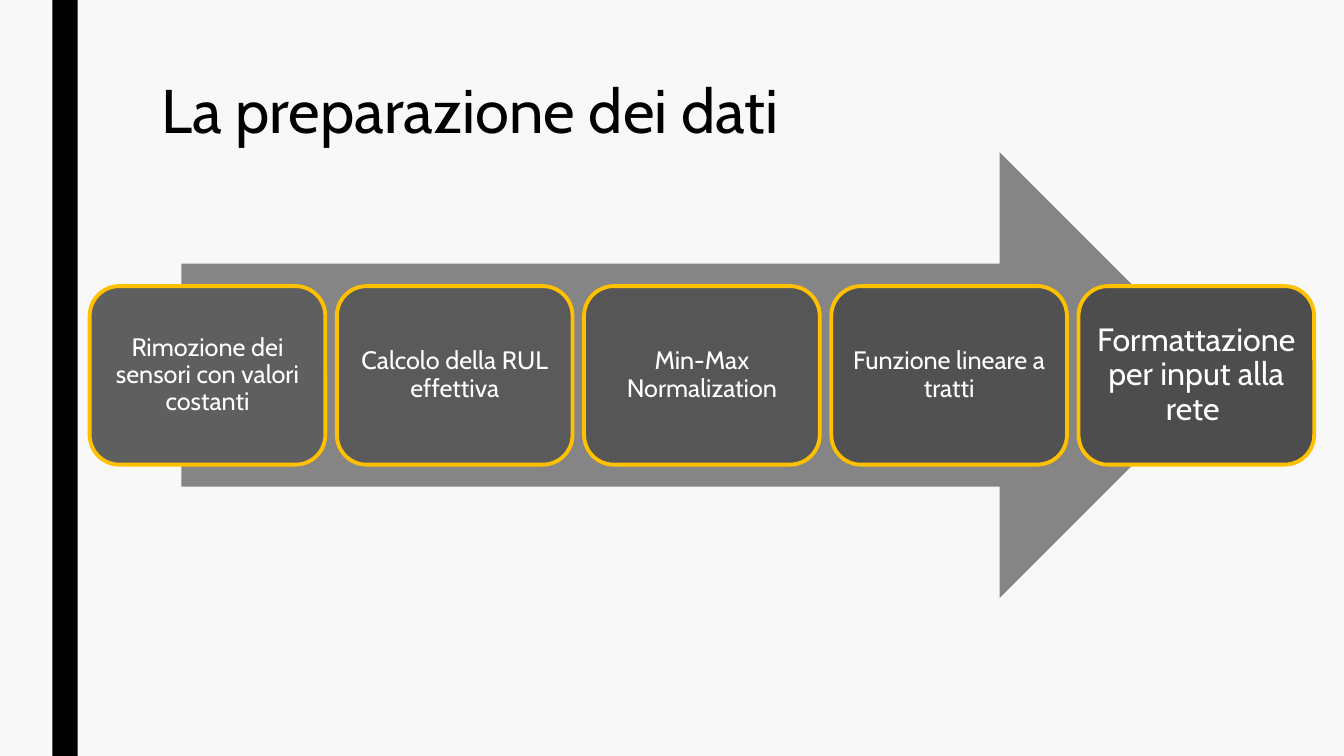
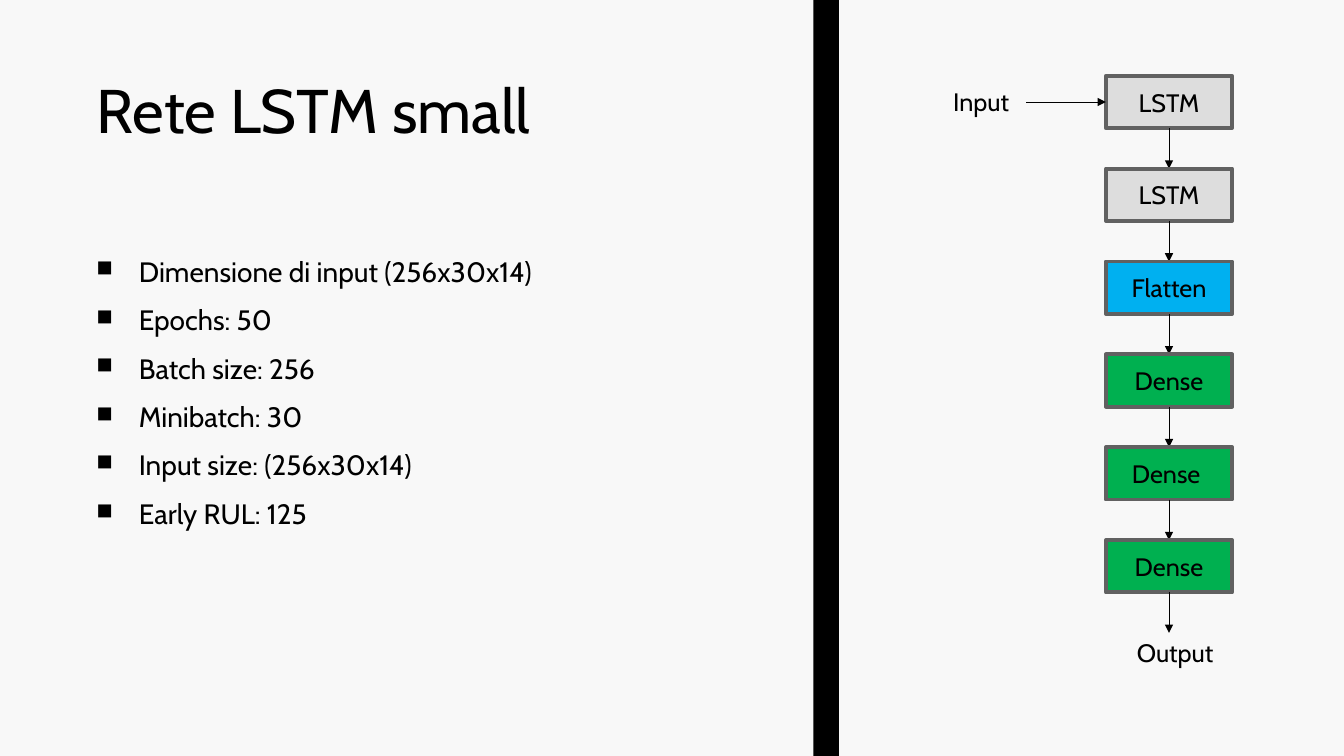
from dataclasses import dataclass

from lxml import etree
from pptx import Presentation
from pptx.dml.color import RGBColor
from pptx.enum.shapes import MSO_CONNECTOR, MSO_SHAPE
from pptx.enum.text import MSO_ANCHOR, MSO_AUTO_SIZE, PP_ALIGN
from pptx.oxml.ns import qn
from pptx.presentation import Presentation as Deck
from pptx.shapes.autoshape import Shape
from pptx.slide import Slide
from pptx.text.text import TextFrame
from pptx.util import Cm, Pt

RECTANGLE = MSO_SHAPE.RECTANGLE
ROUNDED = MSO_SHAPE.ROUNDED_RECTANGLE
RIGHT_ARROW = MSO_SHAPE.RIGHT_ARROW
STRAIGHT = MSO_CONNECTOR.STRAIGHT
LEFT = PP_ALIGN.LEFT
CENTER = PP_ALIGN.CENTER
TOP = MSO_ANCHOR.TOP
MIDDLE = MSO_ANCHOR.MIDDLE
NO_AUTOFIT = MSO_AUTO_SIZE.NONE

BLACK = RGBColor(0x00, 0x00, 0x00)
WHITE = RGBColor(0xFF, 0xFF, 0xFF)
PAPER = RGBColor(0xF8, 0xF8, 0xF8)
ARROW_GRAY = RGBColor(0x85, 0x85, 0x85)
AMBER = RGBColor(0xFF, 0xC0, 0x00)
BORDER_GRAY = RGBColor(0x61, 0x61, 0x61)
LSTM_GRAY = RGBColor(0xDD, 0xDD, 0xDD)
FLATTEN_BLUE = RGBColor(0x00, 0xB0, 0xF0)
DENSE_GREEN = RGBColor(0x00, 0xB0, 0x50)

FONT = "Cabin"
PAGE_WIDTH, PAGE_HEIGHT = 33.87, 19.05
TITLE_ONLY = 5
TITLE_TOP, TITLE_HEIGHT = 1.91, 4.11
BAND_WIDTH = 0.64
BORDER_WIDTH = 2.75


@dataclass(frozen=True)
class Area:
    left: float
    top: float
    width: float
    height: float

    def lengths(self) -> tuple[Cm, Cm, Cm, Cm]:
        return Cm(self.left), Cm(self.top), Cm(self.width), Cm(self.height)


@dataclass(frozen=True)
class Step:
    text: str
    fill: RGBColor
    size: float = 18


@dataclass(frozen=True)
class Layer:
    text: str
    fill: RGBColor


STEPS = (
    Step("Rimozione dei sensori con valori costanti", RGBColor(0x5F, 0x5F, 0x5F)),
    Step("Calcolo della RUL effettiva", RGBColor(0x5A, 0x5A, 0x5A)),
    Step("Min-Max Normalization", RGBColor(0x56, 0x56, 0x56)),
    Step("Funzione lineare a tratti", RGBColor(0x51, 0x51, 0x51)),
    Step("Formattazione per input alla rete ", RGBColor(0x4D, 0x4D, 0x4D), 23),
)
FIRST_STEP = Area(2.26, 7.21, 5.94, 4.5)
STEP_PITCH = 6.23
STEP_INSET = 0.15

LAYERS = (
    Layer("LSTM", LSTM_GRAY),
    Layer("LSTM", LSTM_GRAY),
    Layer("Flatten", FLATTEN_BLUE),
    Layer("Dense", DENSE_GREEN),
    Layer("Dense ", DENSE_GREEN),
    Layer("Dense", DENSE_GREEN),
)
FIRST_LAYER = Area(27.87, 1.91, 3.18, 1.32)
LAYER_PITCH = 2.34

PARAMETERS = (
    "Dimensione di input (256x30x14)",
    "Epochs: 50",
    "Batch size: 256 ",
    "Minibatch: 30 ",
    "Input size: (256x30x14)",
    "Early RUL: 125",
)


def write_text(frame: TextFrame, *lines: str, size: float = 18,
               color: RGBColor = BLACK, align: PP_ALIGN = LEFT,
               anchor: MSO_ANCHOR = TOP, spacing: float = 1.0) -> None:
    frame.word_wrap = True
    frame.auto_size = NO_AUTOFIT
    frame.vertical_anchor = anchor
    for index, line in enumerate(lines):
        para = frame.add_paragraph() if index else frame.paragraphs[0]
        para.alignment = align
        para.line_spacing = spacing
        span = para.add_run()
        span.text = line
        span.font.name = FONT
        span.font.size = Pt(size)
        span.font.color.rgb = color


def add_block(page: Slide, kind: MSO_SHAPE, area: Area, fill: RGBColor,
              border: RGBColor | None = None) -> Shape:
    box = page.shapes.add_shape(kind, *area.lengths())
    box.shadow.inherit = False
    box.fill.solid()
    box.fill.fore_color.rgb = fill
    if border is None:
        box.line.fill.background()
    else:
        box.line.color.rgb = border
        box.line.width = Pt(BORDER_WIDTH)
    return box


def add_text(page: Slide, area: Area, *lines: str, size: float = 18,
             spacing: float = 1.0) -> TextFrame:
    frame = page.shapes.add_textbox(*area.lengths()).text_frame
    write_text(frame, *lines, size=size, spacing=spacing)
    return frame


def add_arrow(page: Slide, start: tuple[float, float], end: tuple[float, float]) -> None:
    arrow = page.shapes.add_connector(
        STRAIGHT, Cm(start[0]), Cm(start[1]), Cm(end[0]), Cm(end[1]))
    arrow.line.color.rgb = BLACK
    arrow.line.width = Pt(0.5)
    properties = arrow.element.spPr
    etree.SubElement(properties.find(qn("a:ln")), qn("a:tailEnd"), type="triangle")
    etree.SubElement(properties, qn("a:effectLst"))


def add_bullets(frame: TextFrame, indent: float) -> None:
    for para in frame.paragraphs:
        para.space_before = Pt(10)
        para.space_after = Pt(2)
        properties = para._p.get_or_add_pPr()
        properties.set("marL", str(Cm(indent)))
        properties.set("indent", str(-Cm(indent)))
        etree.SubElement(properties, qn("a:buSzPct"), val="80000")
        etree.SubElement(properties, qn("a:buChar"), char="■")


def add_page(deck: Deck, title: str, title_left: float, title_width: float,
             band_left: float) -> Slide:
    page = deck.slides.add_slide(deck.slide_layouts[TITLE_ONLY])
    add_block(page, RECTANGLE, Area(band_left, 0, BAND_WIDTH, PAGE_HEIGHT), BLACK)
    box = page.shapes.title
    area = Area(title_left, TITLE_TOP, title_width, TITLE_HEIGHT)
    box.left, box.top, box.width, box.height = area.lengths()
    write_text(box.text_frame, title, size=44, spacing=0.89)
    return page


def add_step(page: Slide, step: Step, area: Area) -> None:
    box = add_block(page, ROUNDED, area, step.fill, AMBER)
    frame = box.text_frame
    frame.margin_left = frame.margin_right = Cm(STEP_INSET)
    frame.margin_top = frame.margin_bottom = Cm(STEP_INSET)
    write_text(frame, step.text, size=step.size, color=WHITE,
               align=CENTER, anchor=MIDDLE, spacing=0.9)


def build_preparation(deck: Deck) -> None:
    page = add_page(deck, "La preparazione dei dati", 3.81, 26.67, 1.32)
    add_block(page, RIGHT_ARROW, Area(4.57, 3.84, 26.24, 11.23), ARROW_GRAY)
    for index, step in enumerate(STEPS):
        left = FIRST_STEP.left + index * STEP_PITCH
        add_step(page, step, Area(left, FIRST_STEP.top, FIRST_STEP.width, FIRST_STEP.height))


def build_network(deck: Deck) -> None:
    page = add_page(deck, "Rete LSTM small", 2.18, 16.56, 20.5)
    parameters = add_text(page, Area(2.18, 6.35, 16.56, 9.96), *PARAMETERS,
                          size=20, spacing=0.94)
    add_bullets(parameters, 1.07)

    left, width, height = FIRST_LAYER.left, FIRST_LAYER.width, FIRST_LAYER.height
    center = left + width / 2
    for index, layer in enumerate(LAYERS):
        top = FIRST_LAYER.top + index * LAYER_PITCH
        box = add_block(page, RECTANGLE, Area(left, top, width, height),
                        layer.fill, BORDER_GRAY)
        write_text(box.text_frame, layer.text, align=CENTER, anchor=MIDDLE)
        add_arrow(page, (center, top + height), (center, top + LAYER_PITCH))

    input_level = FIRST_LAYER.top + height / 2
    add_arrow(page, (25.86, input_level), (left, input_level))
    add_text(page, Area(23.77, 2.06, 2.34, 1.02), "Input")
    add_text(page, Area(28.4, 15.93, 3.18, 1.02), "Output")


def main() -> None:
    deck = Presentation()
    deck.slide_width = Cm(PAGE_WIDTH)
    deck.slide_height = Cm(PAGE_HEIGHT)
    backdrop = deck.slide_master.background.fill
    backdrop.solid()
    backdrop.fore_color.rgb = PAPER
    build_preparation(deck)
    build_network(deck)
    deck.save("out.pptx")


main()
